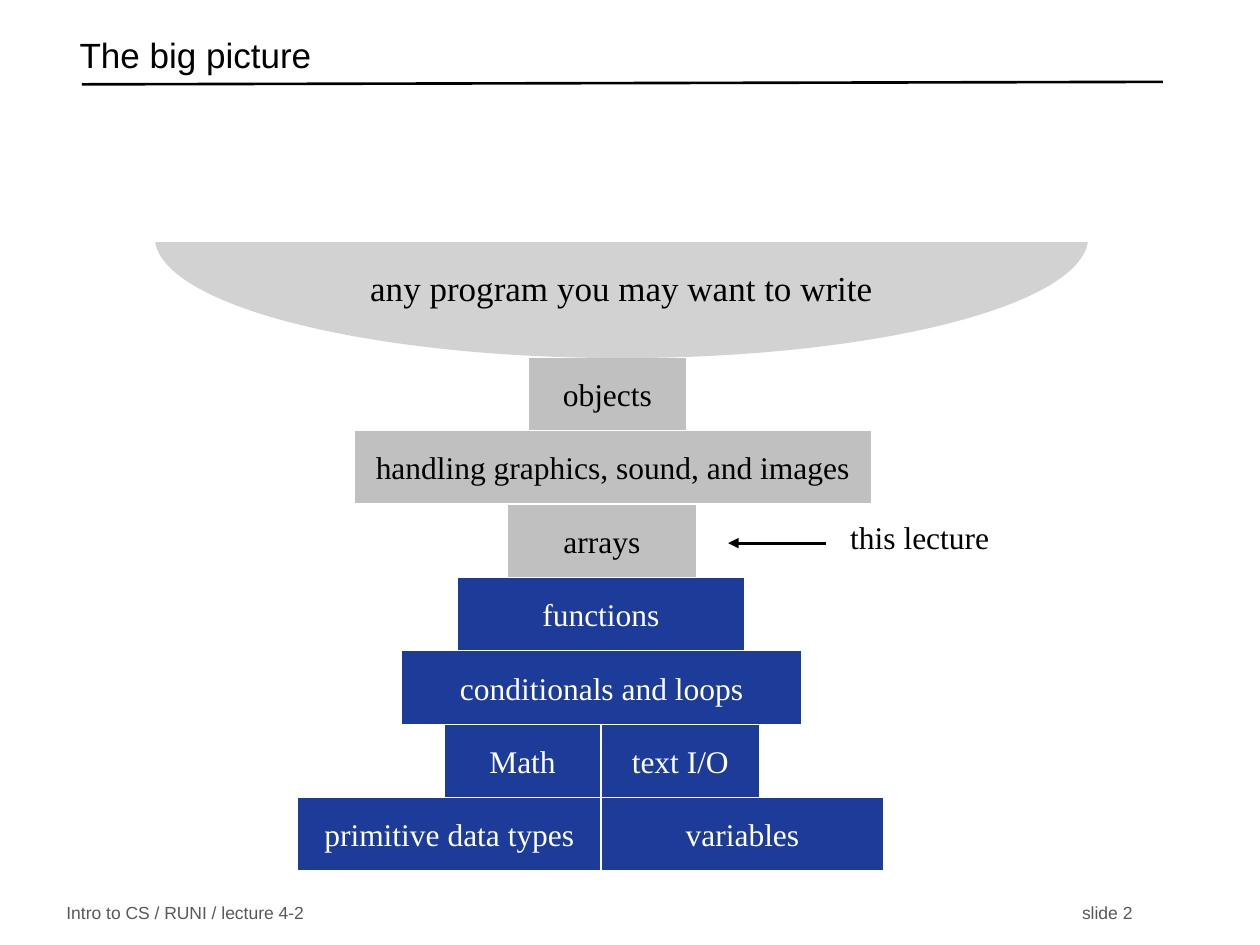
"""Build the slide that stacks the course topics up to any program you may write."""
from dataclasses import dataclass

import pptx
import pptx.dml.color
import pptx.enum.shapes
import pptx.enum.text
import pptx.oxml.ns
import pptx.util
from lxml import etree
from pptx.util import Cm

COLORS = {
    "black": "000000",
    "white": "FFFFFF",
    "covered": "1D3C99",
    "upcoming": "C0C0C0",
    "bowl": "A5A5A5",
    "footer": "595959",
}
SERIF = "Times New Roman"
SANS = "Arial"
STACK_TOP = 7.2
ROW_HEIGHT = 1.48
FIRST_COVERED_ROW = 3
ALIGN = pptx.enum.text.PP_ALIGN
ANCHOR = pptx.enum.text.MSO_ANCHOR
SHAPE = pptx.enum.shapes.MSO_SHAPE


@dataclass
class Block:
    """One topic in the stack, with row counted from the top and lengths in cm."""
    text: str
    row: int
    left: float
    width: float


BLOCKS = [
    Block("objects", 0, 10.65, 3.19),
    Block("handling graphics, sound, and images", 1, 7.14, 10.43),
    Block("arrays", 2, 10.22, 3.83),
    Block("functions", 3, 9.22, 5.79),
    Block("conditionals and loops", 4, 8.1, 8.06),
    Block("Math", 5, 8.95, 3.17),
    Block("text I/O", 5, 12.12, 3.19),
    Block("primitive data types", 6, 6, 6.12),
    Block("variables", 6, 12.12, 5.7),
]


def rgb(name: str) -> pptx.dml.color.RGBColor:
    """Return the named colour."""
    return pptx.dml.color.RGBColor.from_string(COLORS[name])


def add_child(parent, tag: str, **attributes: str):
    """Append a drawing element to its parent."""
    return etree.SubElement(parent, pptx.oxml.ns.qn(tag), attributes)


def write(shape, text: str, size: int, color: str, font: str = SERIF,
          align=ALIGN.LEFT, anchor=ANCHOR.MIDDLE):
    """Write one formatted paragraph into a shape and return it."""
    frame = shape.text_frame
    frame.word_wrap = True
    frame.vertical_anchor = anchor
    para = frame.paragraphs[0]
    para.alignment = align
    span = para.add_run()
    span.text = text
    span.font.size = pptx.util.Pt(size)
    span.font.name = font
    span.font.color.rgb = rgb(color)
    return para


def add_filled(page, kind, left: float, top: float, width: float,
               height: float, fill: str):
    """Add a flat shape without an outline."""
    shape = page.shapes.add_shape(kind, Cm(left), Cm(top), Cm(width), Cm(height))
    shape.shadow.inherit = False
    shape.fill.solid()
    shape.fill.fore_color.rgb = rgb(fill)
    shape.line.fill.background()
    return shape


def add_block(page, block: Block) -> None:
    """Draw one topic of the stack."""
    covered = block.row >= FIRST_COVERED_ROW
    box = add_filled(page, SHAPE.RECTANGLE, block.left,
                     STACK_TOP + block.row * ROW_HEIGHT, block.width, ROW_HEIGHT,
                     "covered" if covered else "upcoming")
    box.line.color.rgb = rgb("white")
    box.line.width = pptx.util.Pt(0.75)
    write(box, block.text, 18, "white" if covered else "black", align=ALIGN.CENTER)


def add_line(page, start: tuple[float, float], end: tuple[float, float],
             width: float, arrow: bool = False) -> None:
    """Draw a black line, with an arrowhead at its end if asked."""
    line = page.shapes.add_connector(
        pptx.enum.shapes.MSO_CONNECTOR.STRAIGHT, *map(Cm, start + end))
    line.line.color.rgb = rgb("black")
    line.line.width = pptx.util.Pt(width)
    properties = line._element.spPr
    if arrow:
        add_child(properties.find(pptx.oxml.ns.qn("a:ln")), "a:tailEnd", type="triangle")
    add_child(properties, "a:effectLst")


def add_title(page) -> None:
    """Fill the title placeholder and rule it off."""
    title = page.shapes.title
    title.left, title.top, title.width, title.height = map(Cm, (1.35, 0.56, 21.84, 1.27))
    title.text_frame.auto_size = pptx.enum.text.MSO_AUTO_SIZE.NONE
    write(title, "The big picture", 20, "black", SANS).line_spacing = 0.7
    add_line(page, (1.65, 1.7), (23.44, 1.65), 1.5)


def add_footer(page) -> None:
    """Add the course name and, at a right tab, the slide number."""
    box = page.shapes.add_textbox(Cm(1.09), Cm(18.14), Cm(22.12), Cm(0.53))
    para = write(box, "Intro to CS / RUNI / lecture 4-2\tslide 2", 10, "footer", SANS)
    tabs = add_child(para._p.get_or_add_pPr(), "a:tabLst")
    add_child(tabs, "a:tab", pos=str(Cm(21.49)), algn="r")


def add_bowl(page) -> None:
    """Draw the half-ellipse that rests on the stack."""
    bowl = add_filled(page, SHAPE.OVAL, 3.12, 2.34, 18.82, 4.88, "bowl")
    color = bowl._element.spPr.find(".//" + pptx.oxml.ns.qn("a:srgbClr"))
    add_child(color, "a:alpha", val="49000")
    bowl.text_frame.margin_bottom = Cm(0.28)
    write(bowl, "any program you may want to write", 20, "black",
          align=ALIGN.CENTER, anchor=ANCHOR.BOTTOM)
    add_filled(page, SHAPE.RECTANGLE, 0.43, 2.34, 24.56, 2.54, "white")


def add_pointer(page) -> None:
    """Label the topic of this lecture."""
    box = page.shapes.add_textbox(Cm(16.89), Cm(10.31), Cm(4.55), Cm(1.02))
    write(box, "this lecture", 18, "black", anchor=ANCHOR.TOP)
    add_line(page, (16.66, 10.95), (14.68, 10.95), 1.75, arrow=True)


def main() -> None:
    """Build and save the deck."""
    deck = pptx.Presentation()
    deck.slide_width, deck.slide_height = Cm(25.4), Cm(19.05)
    page = deck.slides.add_slide(deck.slide_layouts.get_by_name("Title Only"))
    add_title(page)
    add_footer(page)
    for block in BLOCKS:
        add_block(page, block)
    add_bowl(page)
    add_pointer(page)
    deck.save("out.pptx")


if __name__ == "__main__":
    main()
